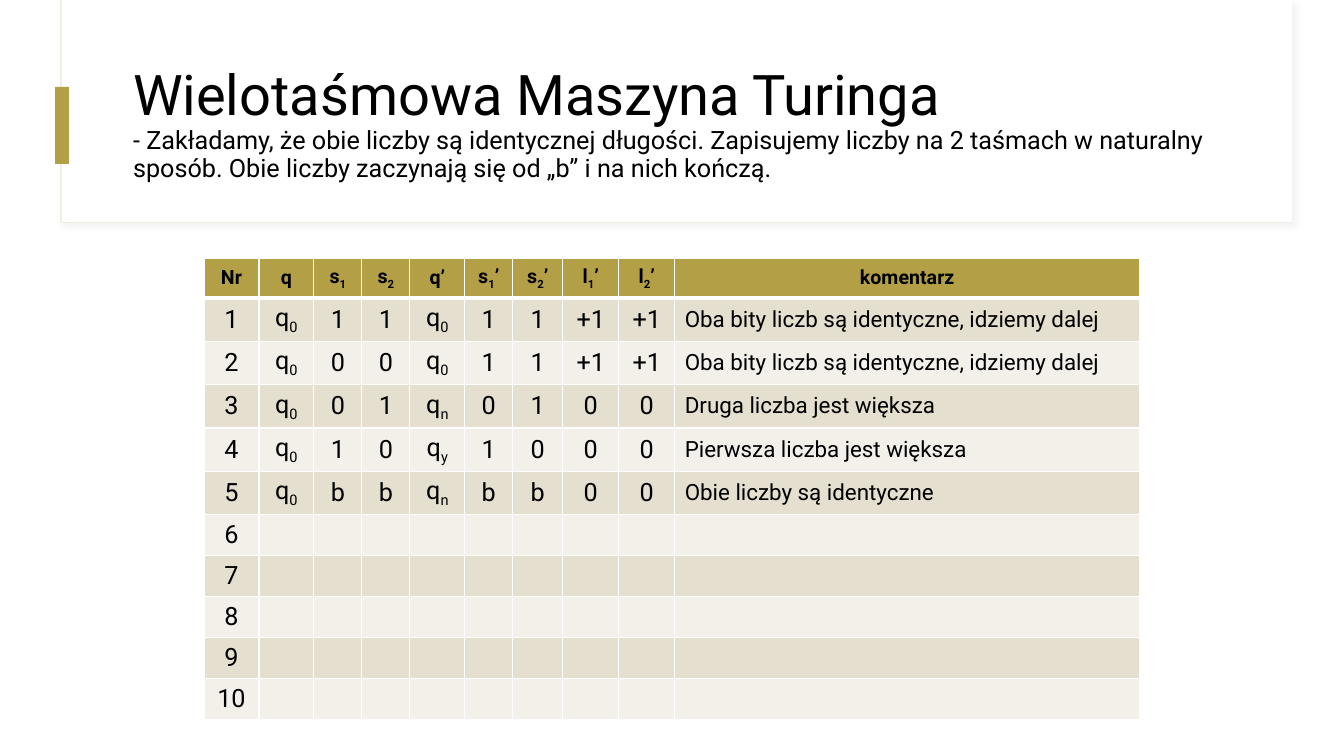
from dataclasses import dataclass

from lxml import etree
from pptx import Presentation
from pptx.dml.color import RGBColor
from pptx.enum.shapes import MSO_SHAPE
from pptx.enum.text import MSO_ANCHOR, MSO_AUTO_SIZE, PP_ALIGN
from pptx.oxml.ns import qn
from pptx.util import Emu, Pt

RECTANGLE = MSO_SHAPE.RECTANGLE
MIDDLE = MSO_ANCHOR.MIDDLE
NO_AUTOFIT = MSO_AUTO_SIZE.NONE
LEFT, CENTER = PP_ALIGN.LEFT, PP_ALIGN.CENTER
EMU_PER_PX = 914400 / 100.8


@dataclass(frozen=True)
class Theme:
    font: str = "Roboto"
    text: str = "000000"
    white: str = "FFFFFF"
    accent: str = "B3A046"
    frame: str = "EFEDE3"
    shadow: str = "D9D9D9"
    bands: tuple = ("E5DFCF", "F2F0E9")
    title_size: int = 40
    body_size: int = 18
    comment_size: int = 16
    header_size: int = 14


def px(length):
    return Emu(round(length * EMU_PER_PX))


def add_color(parent, color):
    fill = etree.SubElement(parent, qn("a:solidFill"))
    etree.SubElement(fill, qn("a:srgbClr"), val=color)


class SlideBuilder:
    def __init__(self, slide, theme):
        self.slide = slide
        self.theme = theme

    def add_run(self, paragraph, text, size, bold=False, subscript=False):
        run = paragraph.add_run()
        run.text = text
        run.font.name = self.theme.font
        run.font.size = Pt(size)
        run.font.bold = bold
        run.font.color.rgb = RGBColor.from_string(self.theme.text)
        if subscript:
            run.font._element.set("baseline", "-25000")

    def add_rectangle(self, left, top, width, height, fill, line=None):
        shape = self.slide.shapes.add_shape(
            RECTANGLE, px(left), px(top), px(width), px(height))
        shape.shadow.inherit = False
        shape.fill.solid()
        shape.fill.fore_color.rgb = RGBColor.from_string(fill)
        if line:
            shape.line.color.rgb = RGBColor.from_string(line)
            shape.line.width = Pt(0.75)
        else:
            shape.line.fill.background()
        return shape

    def add_shadow(self, shape):
        effects = shape._element.spPr.find(qn("a:effectLst"))
        shadow = etree.SubElement(
            effects, qn("a:outerShdw"), blurRad=str(Pt(4)), dist=str(Pt(3)),
            dir="2700000", algn="tl", rotWithShape="0")
        color = etree.SubElement(shadow, qn("a:srgbClr"), val=self.theme.shadow)
        etree.SubElement(color, qn("a:alpha"), val="30000")

    def set_title(self, left, top, width, height, heading, note):
        title = self.slide.shapes.title
        title.left, title.top = px(left), px(top)
        title.width, title.height = px(width), px(height)
        # Bring the title in front of the panel
        title._element.getparent().append(title._element)
        frame = title.text_frame
        frame.word_wrap = True
        frame.auto_size = NO_AUTOFIT
        frame.vertical_anchor = MIDDLE
        paragraph = frame.paragraphs[0]
        paragraph.alignment = LEFT
        paragraph.line_spacing = 0.9
        self.add_run(paragraph, heading, self.theme.title_size)
        paragraph.add_line_break()
        line_break = paragraph._p.find(qn("a:br"))
        etree.SubElement(line_break, qn("a:rPr"),
                         sz=str(self.theme.title_size * 100))
        self.add_run(paragraph, note, self.theme.body_size)

    def set_borders(self, cell, top, bottom):
        properties = cell._tc.get_or_add_tcPr()
        widths = {"lnL": 1, "lnR": 1, "lnT": top, "lnB": bottom}
        for index, (side, width) in enumerate(widths.items()):
            border = etree.Element(qn(f"a:{side}"), w=str(Pt(width)))
            add_color(border, self.theme.white)
            properties.insert(index, border)

    def fill_cell(self, cell, text, fill, size, bold, alignment):
        cell.fill.solid()
        cell.fill.fore_color.rgb = RGBColor.from_string(fill)
        cell.vertical_anchor = MIDDLE
        if not text:
            return
        paragraph = cell.text_frame.paragraphs[0]
        paragraph.alignment = alignment
        # An underscore marks the next character as a subscript
        first, *others = text.split("_")
        self.add_run(paragraph, first, size, bold)
        for part in others:
            self.add_run(paragraph, part[0], size, bold, subscript=True)
            if part[1:]:
                self.add_run(paragraph, part[1:], size, bold)

    def add_table(self, left, top, widths, heights, rows):
        theme = self.theme
        table = self.slide.shapes.add_table(
            len(rows), len(widths), px(left), px(top),
            px(sum(widths)), px(sum(heights))).table
        for column, width in zip(table.columns, widths):
            column.width = px(width)
        for row, height in zip(table.rows, heights):
            row.height = px(height)
        comment_column = len(widths) - 1
        for i, texts in enumerate(rows):
            header = i == 0
            fill = theme.accent if header else theme.bands[(i - 1) % 2]
            for j, text in enumerate(texts):
                size, alignment = theme.body_size, CENTER
                if header:
                    size = theme.header_size
                elif j == comment_column:
                    size, alignment = theme.comment_size, LEFT
                cell = table.cell(i, j)
                self.fill_cell(cell, text, fill, size, header, alignment)
                self.set_borders(cell, top=3 if i == 1 else 1,
                                 bottom=3 if header else 1)


HEADER = ["Nr", "q", "s_1", "s_2", "q’", "s_1’", "s_2’", "l_1’", "l_2’",
          "komentarz"]
SAME_BITS = "Oba bity liczb są identyczne, idziemy dalej"
TRANSITIONS = [
    ["q_0", "1", "1", "q_0", "1", "1", "+1", "+1", SAME_BITS],
    ["q_0", "0", "0", "q_0", "1", "1", "+1", "+1", SAME_BITS],
    ["q_0", "0", "1", "q_n", "0", "1", "0", "0", "Druga liczba jest większa"],
    ["q_0", "1", "0", "q_y", "1", "0", "0", "0", "Pierwsza liczba jest większa"],
    ["q_0", "b", "b", "q_n", "b", "b", "0", "0", "Obie liczby są identyczne"],
]
EMPTY_ROWS = 5
COLUMN_WIDTHS = [55, 55, 48, 48, 55, 48, 50, 56, 56, 465]
ROW_HEIGHTS = [40] + [43] * len(TRANSITIONS) + [41] * EMPTY_ROWS


def main():
    presentation = Presentation()
    presentation.slide_width, presentation.slide_height = px(1344), px(756)
    theme = Theme()
    slide = presentation.slides.add_slide(presentation.slide_layouts[5])
    builder = SlideBuilder(slide, theme)

    # Title panel with its accent bar
    frame = builder.add_rectangle(61, 0, 1231, 223, theme.white, theme.frame)
    builder.add_shadow(frame)
    builder.add_rectangle(62, 0, 1230, 222, theme.white)
    builder.add_rectangle(55, 87, 14, 77, theme.accent)
    builder.set_title(
        123, 60, 1121, 130, "Wielotaśmowa Maszyna Turinga",
        "- Zakładamy, że obie liczby są identycznej długości. Zapisujemy "
        "liczby na 2 taśmach w naturalny sposób. Obie liczby zaczynają się "
        "od „b” i na nich kończą.")

    # Transition table
    blanks = [[""] * (len(HEADER) - 1)] * EMPTY_ROWS
    rows = [[str(number), *cells]
            for number, cells in enumerate(TRANSITIONS + blanks, start=1)]
    builder.add_table(204, 258, COLUMN_WIDTHS, ROW_HEIGHTS, [HEADER, *rows])

    presentation.save("out.pptx")


if __name__ == "__main__":
    main()
